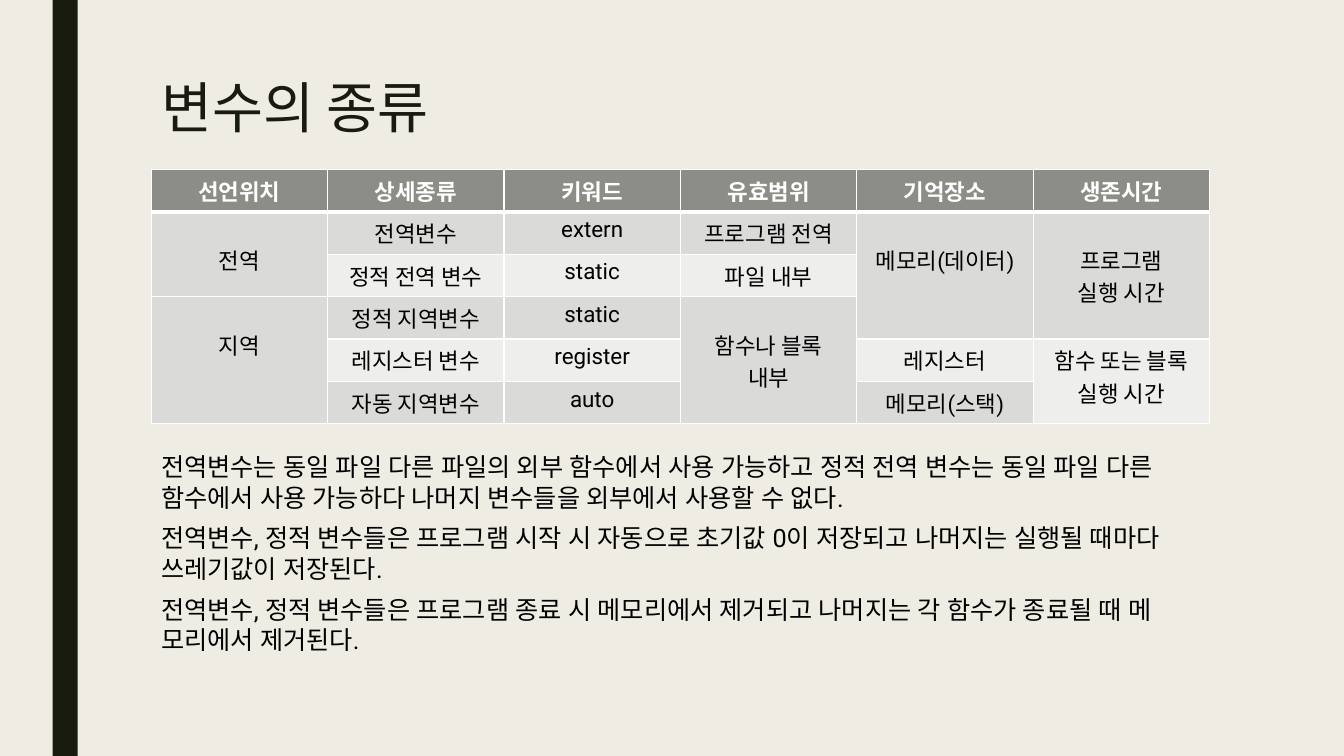
import pptx
import pptx.dml.color
import pptx.enum.shapes
import pptx.enum.text
import pptx.util
from lxml import etree

Pt = pptx.util.Pt
RGBColor = pptx.dml.color.RGBColor
Align = pptx.enum.text.PP_ALIGN
Anchor = pptx.enum.text.MSO_ANCHOR

CREAM = RGBColor(0xEF, 0xED, 0xE3)
DARK = RGBColor(0x19, 0x1B, 0x0E)
HEAD = RGBColor(0x8C, 0x8D, 0x86)
BANDS = RGBColor(0xEE, 0xEE, 0xED), RGBColor(0xDA, 0xDB, 0xD9)
WHITE = RGBColor(255, 255, 255)
BLACK = RGBColor(0, 0, 0)
FONT = "Roboto"

TITLE = "변수의 종류"
HEADS = ["선언위치", "상세종류", "키워드", "유효범위", "기억장소", "생존시간"]
# One list per column; a tuple is a merged cell: text, rows, extra top margin
COLUMNS = [
    [("전역", 2, 19), ("지역", 3, 19)],
    ["전역변수", "정적 전역 변수", "정적 지역변수", "레지스터 변수", "자동 지역변수"],
    ["extern", "static", "static", "register", "auto"],
    ["프로그램 전역", "파일 내부", ("함수나 블록\n내부", 3, 19)],
    [("메모리(데이터)", 3, 19), "레지스터", "메모리(스택)"],
    [("프로그램\n실행 시간", 3, 19), ("함수 또는 블록 실행 시간", 2, 0)],
]
NOTES = [
    (787, "전역변수는 동일 파일 다른 파일의 외부 함수에서 사용 가능하고 정적 전역 변수는 동일 파일 다른\n"
          "함수에서 사용 가능하다 나머지 변수들을 외부에서 사용할 수 없다."),
    (793, "전역변수, 정적 변수들은 프로그램 시작 시 자동으로 초기값 0이 저장되고 나머지는 실행될 때마다\n"
          "쓰레기값이 저장된다."),
    (783, "전역변수, 정적 변수들은 프로그램 종료 시 메모리에서 제거되고 나머지는 각 함수가 종료될 때 메\n"
          "모리에서 제거된다."),
]
LEFT, WIDTH = 108, 756
TABLE_TOP, ROW = 121, 29.2
NOTE_TOP, NOTE_STEP = 319, 50.8


def write(frame, text, size=16, color=BLACK, bold=False, align=Align.LEFT, space=None, east=None):
    frame.text = text
    for para in frame.paragraphs:
        para.alignment = align
        para.line_spacing = space
        for run in para.runs:
            font = run.font
            font.name, font.size, font.bold = FONT, Pt(size), bold
            font.color.rgb = color
            if east:
                tag = pptx.oxml.ns.qn("a:ea")
                etree.SubElement(run._r.get_or_add_rPr(), tag, typeface=east)


def edge(cell, fill, base):
    """Draw the white borders of a cell, then its fill."""
    props = cell._tc.get_or_add_tcPr()
    qn = pptx.oxml.ns.qn
    for side, width in (("L", 1), ("R", 1), ("T", 1), ("B", base)):
        line = etree.SubElement(props, qn("a:ln" + side), w=str(Pt(width)))
        solid = etree.SubElement(line, qn("a:solidFill"))
        etree.SubElement(solid, qn("a:srgbClr"), val=str(WHITE))
    cell.fill.solid()
    cell.fill.fore_color.rgb = fill


def grid(slide):
    count = len(HEADS)
    table = slide.shapes.add_table(
        count, count, Pt(LEFT), Pt(TABLE_TOP), Pt(WIDTH), Pt(ROW * count)).table
    for row in table.rows:
        row.height = Pt(ROW)
    for col, (head, items) in enumerate(zip(HEADS, COLUMNS)):
        table.columns[col].width = Pt(WIDTH / count)
        cell = table.cell(0, col)
        write(cell.text_frame, head, color=WHITE, bold=True, align=Align.CENTER)
        edge(cell, HEAD, 3)
        row = 1
        for item in items:
            text, rows, drop = item if isinstance(item, tuple) else (item, 1, 0)
            cell = table.cell(row, col)
            if rows > 1:
                cell.merge(table.cell(row + rows - 1, col))
            write(cell.text_frame, text, align=Align.CENTER)
            cell.margin_top = Pt(3.6 + drop)
            for part in range(row, row + rows):
                edge(table.cell(part, col), BANDS[row % 2], 1)
            row += rows


def main():
    deck = pptx.Presentation()
    deck.slide_width, deck.slide_height = Pt(960), Pt(540)
    slide = deck.slides.add_slide(deck.slide_layouts[5])
    slide.background.fill.solid()
    slide.background.fill.fore_color.rgb = CREAM

    bar = slide.shapes.add_shape(
        pptx.enum.shapes.MSO_SHAPE.RECTANGLE, Pt(37.5), Pt(0), Pt(18), Pt(540))
    bar.shadow.inherit = False
    bar.fill.solid()
    bar.fill.fore_color.rgb = DARK
    bar.line.fill.background()

    title = slide.shapes.title
    title.left, title.top, title.width, title.height = Pt(LEFT), Pt(54), Pt(WIDTH), Pt(50.4)
    write(title.text_frame, TITLE, size=39.6, color=DARK, space=0.89)
    title.text_frame.vertical_anchor = Anchor.MIDDLE

    grid(slide)
    for place, (width, text) in enumerate(NOTES):
        top = NOTE_TOP + place * NOTE_STEP
        frame = slide.shapes.add_textbox(Pt(LEFT), Pt(top), Pt(width), Pt(51)).text_frame
        write(frame, text, size=18, east=FONT)
        frame.word_wrap = False
        frame.auto_size = pptx.enum.text.MSO_AUTO_SIZE.SHAPE_TO_FIT_TEXT

    deck.save("out.pptx")


if __name__ == "__main__":
    main()
